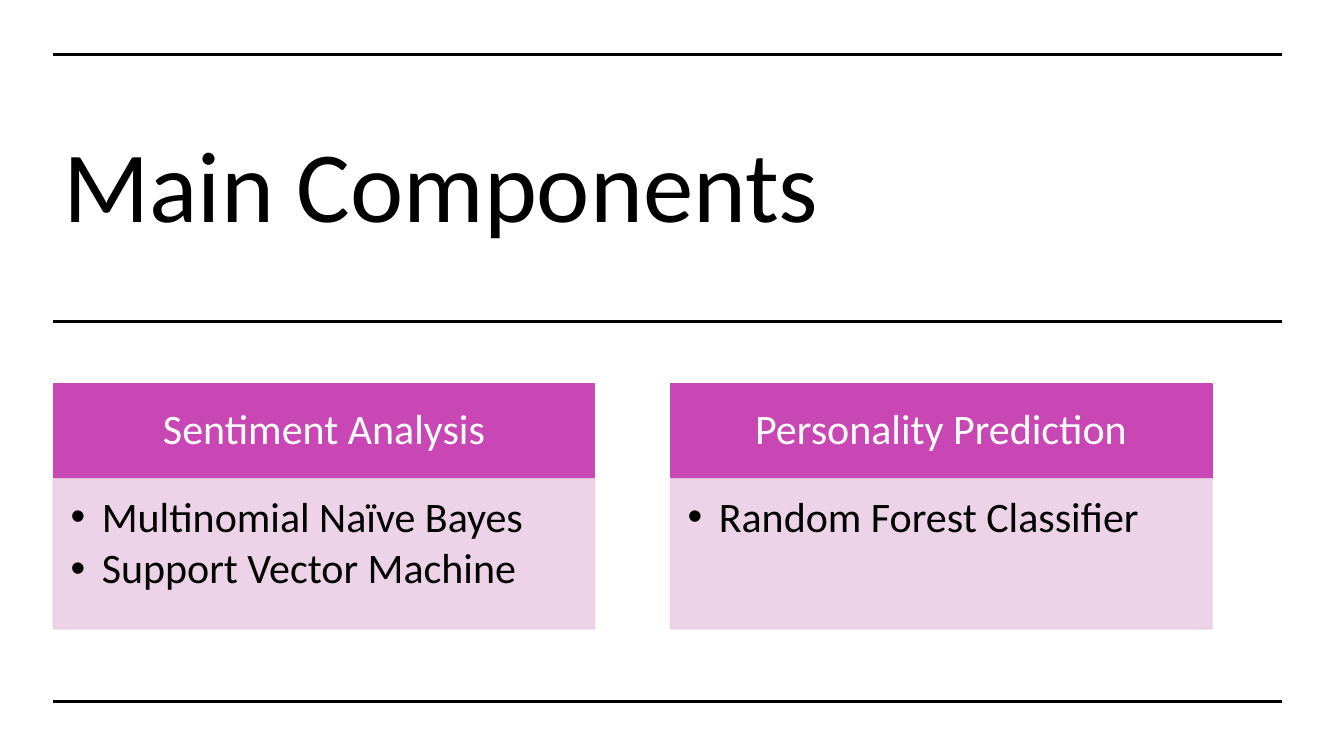
import dataclasses

import lxml.etree
import pptx
import pptx.dml.color
import pptx.enum.shapes
import pptx.enum.text
import pptx.oxml.ns
import pptx.util

EMU_PER_PX = 9144  # 100 px to the inch
FONT = "Calibri"
BLACK = pptx.dml.color.RGBColor(0x00, 0x00, 0x00)
WHITE = pptx.dml.color.RGBColor(0xFF, 0xFF, 0xFF)
MAGENTA = pptx.dml.color.RGBColor(0xC9, 0x47, 0xB5)
PALE_PINK = pptx.dml.color.RGBColor(0xEB, 0xCF, 0xE5)

LEFT, RIGHT = 53, 1272
RULE_TOPS = (54, 319, 696)
CARD_TOP, CARD_WIDTH, CARD_STEP = 381, 537, 612
HEADER_HEIGHT, BODY_HEIGHT = 94, 149
BULLET_INDENT = 31


@dataclasses.dataclass(frozen=True)
class Card:
    heading: str
    methods: tuple[str, ...]


@dataclasses.dataclass(frozen=True)
class BoxStyle:
    fill: pptx.dml.color.RGBColor
    text: pptx.dml.color.RGBColor
    opacity: int
    insets: tuple[int, int, int, int]
    anchor: pptx.enum.text.MSO_ANCHOR
    align: pptx.enum.text.PP_ALIGN
    space_after: float
    bulleted: bool


HEADER = BoxStyle(MAGENTA, WHITE, 100, (23, 13, 23, 13), pptx.enum.text.MSO_ANCHOR.MIDDLE,
                  pptx.enum.text.PP_ALIGN.CENTER, 10.5, False)
BODY = BoxStyle(PALE_PINK, BLACK, 90, (17, 17, 23, 26), pptx.enum.text.MSO_ANCHOR.TOP,
                pptx.enum.text.PP_ALIGN.LEFT, 4.5, True)

CARDS = (
    Card("Sentiment Analysis", ("Multinomial Naïve Bayes", "Support Vector Machine")),
    Card("Personality Prediction", ("Random Forest Classifier",)),
)


def px(length: int) -> pptx.util.Emu:
    return pptx.util.Emu(length * EMU_PER_PX)


def format_runs(para, size: int, color: pptx.dml.color.RGBColor) -> None:
    for span in para.runs:
        span.font.name = FONT
        span.font.size = pptx.util.Pt(size)
        span.font.color.rgb = color


def add_bullet(para) -> None:
    para.level = 1
    properties = para._p.get_or_add_pPr()
    properties.set("marL", str(px(BULLET_INDENT)))
    properties.set("indent", str(-px(BULLET_INDENT)))
    font = lxml.etree.SubElement(properties, pptx.oxml.ns.qn("a:buFont"))
    font.set("typeface", "Arial")
    bullet = lxml.etree.SubElement(properties, pptx.oxml.ns.qn("a:buChar"))
    bullet.set("char", "•")


def add_title(page, text: str) -> None:
    title = page.shapes.title
    title.left, title.top, title.width, title.height = px(LEFT), px(107), px(920), px(163)
    frame = title.text_frame
    frame.text = text
    frame.word_wrap = True
    frame.auto_size = pptx.enum.text.MSO_AUTO_SIZE.NONE
    frame.vertical_anchor = pptx.enum.text.MSO_ANCHOR.MIDDLE
    para = frame.paragraphs[0]
    para.alignment = pptx.enum.text.PP_ALIGN.LEFT
    para.line_spacing = 0.9
    format_runs(para, 72, BLACK)


def add_rule(page, top: int) -> None:
    rule = page.shapes.add_connector(
        pptx.enum.shapes.MSO_CONNECTOR.STRAIGHT, px(LEFT), px(top), px(RIGHT), px(top))
    rule.line.color.rgb = BLACK
    rule.line.width = pptx.util.Pt(2.25)
    lxml.etree.SubElement(rule._element.spPr, pptx.oxml.ns.qn("a:effectLst"))


def add_box(page, left: int, top: int, height: int, lines: tuple[str, ...],
            style: BoxStyle) -> None:
    box = page.shapes.add_shape(pptx.enum.shapes.MSO_SHAPE.RECTANGLE,
                                px(left), px(top), px(CARD_WIDTH), px(height))
    box.shadow.inherit = False
    box.fill.solid()
    box.fill.fore_color.rgb = style.fill
    box.line.color.rgb = style.fill
    box.line.width = pptx.util.Pt(1)
    if style.opacity < 100:
        for color in box._element.spPr.iter(pptx.oxml.ns.qn("a:srgbClr")):
            alpha = lxml.etree.SubElement(color, pptx.oxml.ns.qn("a:alpha"))
            alpha.set("val", str(style.opacity * 1000))

    frame = box.text_frame
    frame.word_wrap = True
    frame.vertical_anchor = style.anchor
    (frame.margin_left, frame.margin_top,
     frame.margin_right, frame.margin_bottom) = map(px, style.insets)
    frame.text = "\n".join(lines)
    for para in frame.paragraphs:
        para.alignment = style.align
        para.line_spacing = 0.9
        para.space_after = pptx.util.Pt(style.space_after)
        if style.bulleted:
            add_bullet(para)
        format_runs(para, 30, style.text)


def main() -> None:
    deck = pptx.Presentation()
    deck.slide_width, deck.slide_height = px(1333), px(750)
    page = deck.slides.add_slide(deck.slide_layouts[5])

    # Title and horizontal rules
    add_title(page, "Main Components")
    for top in RULE_TOPS:
        add_rule(page, top)

    # Component cards
    for index, card in enumerate(CARDS):
        left = LEFT + index * CARD_STEP
        add_box(page, left, CARD_TOP, HEADER_HEIGHT, (card.heading,), HEADER)
        add_box(page, left, CARD_TOP + HEADER_HEIGHT, BODY_HEIGHT, card.methods, BODY)

    deck.save("out.pptx")


if __name__ == "__main__":
    main()
